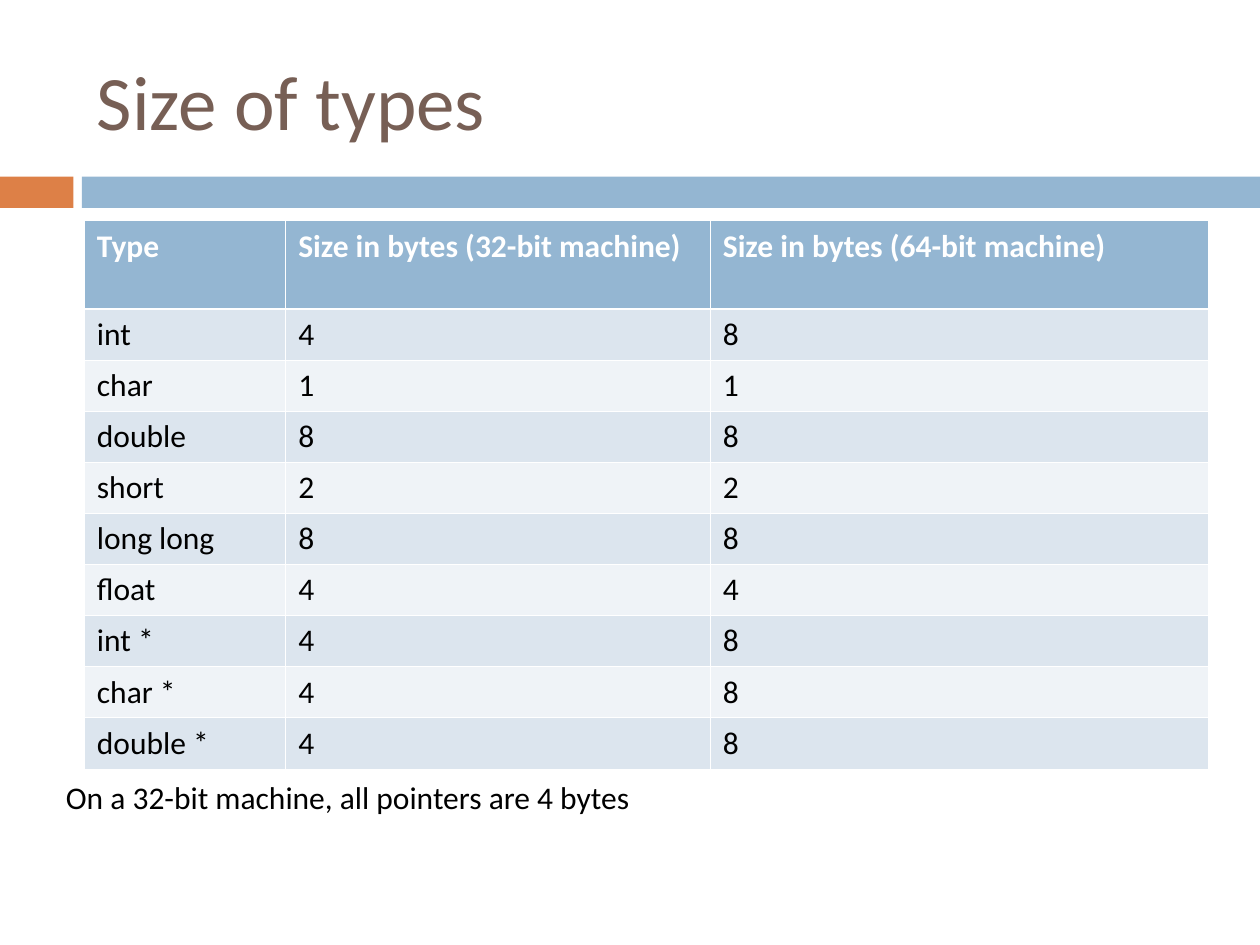
import pptx
import pptx.dml.color
import pptx.enum.shapes
import pptx.enum.text
import pptx.oxml
import pptx.oxml.ns
import pptx.util
from dataclasses import dataclass

Cm, Pt = pptx.util.Cm, pptx.util.Pt
RGB = pptx.dml.color.RGBColor.from_string
MSO_ANCHOR = pptx.enum.text.MSO_ANCHOR
MSO_AUTO_SIZE = pptx.enum.text.MSO_AUTO_SIZE


@dataclass(frozen=True)
class Theme:
    font: str = "Calibri"
    title_size: int = 44
    body_size: int = 18
    title: str = "775F55"
    accent: str = "DD8047"
    main: str = "94B6D2"
    band_dark: str = "DCE5EE"
    band_light: str = "EFF3F7"
    text: str = "000000"
    white: str = "FFFFFF"
    rule: float = 0.45
    header_rule: float = 1.47


def write(tf, text, *, font, size, color, bold=False):
    """Put left-aligned, formatted text in a text frame."""
    p = tf.paragraphs[0]
    p.alignment = pptx.enum.text.PP_ALIGN.LEFT
    r = p.add_run()
    r.text = text
    r.font.name, r.font.size, r.font.bold = font, Pt(size), bold
    r.font.color.rgb = RGB(color)


def set_borders(cell, color, widths):
    """Draw cell borders; widths are in points: left, right, top, bottom."""
    tcPr = cell._tc.get_or_add_tcPr()
    for i, (side, width) in enumerate(zip("LRTB", widths)):
        tcPr.insert(i, pptx.oxml.parse_xml(
            f'<a:ln{side} {pptx.oxml.ns.nsdecls("a")} w="{Pt(width)}">'
            f'<a:solidFill><a:srgbClr val="{color}"/></a:solidFill>'
            f'</a:ln{side}>'))


class SlideBuilder:
    def __init__(self, slide, theme):
        self.s, self.theme = slide, theme

    def bar(self, left, top, width, height, color):
        sp = self.s.shapes.add_shape(
            pptx.enum.shapes.MSO_SHAPE.RECTANGLE,
            Cm(left), Cm(top), Cm(width), Cm(height))
        sp.shadow.inherit = False
        sp.fill.solid()
        sp.fill.fore_color.rgb = RGB(color)
        sp.line.fill.background()

    def title(self, text, left, top, width, height):
        sp = self.s.shapes.title
        sp.left, sp.top, sp.width, sp.height = map(Cm, (left, top, width, height))
        tf = sp.text_frame
        tf.auto_size = MSO_AUTO_SIZE.NONE
        tf.vertical_anchor = MSO_ANCHOR.MIDDLE
        t = self.theme
        write(tf, text, font=t.font, size=t.title_size, color=t.title)

    def table(self, rows, left, top, col_widths, header_height, row_height):
        t = self.theme
        heights = [header_height] + [row_height] * (len(rows) - 1)
        table = self.s.shapes.add_table(
            len(rows), len(col_widths), Cm(left), Cm(top),
            Cm(sum(col_widths)), Cm(sum(heights))).table
        for column, width in zip(table.columns, col_widths):
            column.width = Cm(width)
        for i, (values, height) in enumerate(zip(rows, heights)):
            table.rows[i].height = Cm(height)
            header = i == 0
            fill = t.main if header else t.band_dark if i % 2 else t.band_light
            borders = (t.rule, t.rule,
                       t.header_rule if i == 1 else t.rule,
                       t.header_rule if header else t.rule)
            for j, value in enumerate(values):
                cell = table.cell(i, j)
                cell.fill.solid()
                cell.fill.fore_color.rgb = RGB(fill)
                set_borders(cell, t.white, borders)
                write(cell.text_frame, value, font=t.font, size=t.body_size,
                      color=t.white if header else t.text, bold=header)

    def note(self, text, left, top, width, height):
        tf = self.s.shapes.add_textbox(
            Cm(left), Cm(top), Cm(width), Cm(height)).text_frame
        tf.word_wrap = False
        tf.auto_size = MSO_AUTO_SIZE.SHAPE_TO_FIT_TEXT
        t = self.theme
        write(tf, text, font=t.font, size=t.body_size, color=t.text)


ROWS = [
    ("Type", "Size in bytes (32-bit machine)", "Size in bytes (64-bit machine)"),
    ("int", "4", "8"),
    ("char", "1", "1"),
    ("double", "8", "8"),
    ("short", "2", "2"),
    ("long long", "8", "8"),
    ("float", "4", "4"),
    ("int *", "4", "8"),
    ("char *", "4", "8"),
    ("double *", "4", "8"),
]


def main():
    prs = pptx.Presentation()
    prs.slide_width, prs.slide_height = Cm(25.4), Cm(19.05)
    theme = Theme()
    title_only = prs.slide_layouts[5]
    b = SlideBuilder(prs.slides.add_slide(title_only), theme)

    # Divider under the title
    b.bar(0, 3.56, 1.48, 0.63, theme.accent)
    b.bar(1.65, 3.56, 23.75, 0.63, theme.main)

    # Title
    b.title("Size of types", 1.7, 0.64, 22.65, 2.74)

    # Type sizes
    b.table(ROWS, 1.7, 4.45, (4.06, 8.56, 10.03), 1.78, 1.03)

    # Remark below the table
    b.note("On a 32-bit machine, all pointers are 4 bytes", 1.08, 15.55, 13.63, 1.03)

    prs.save("out.pptx")


if __name__ == "__main__":
    main()
